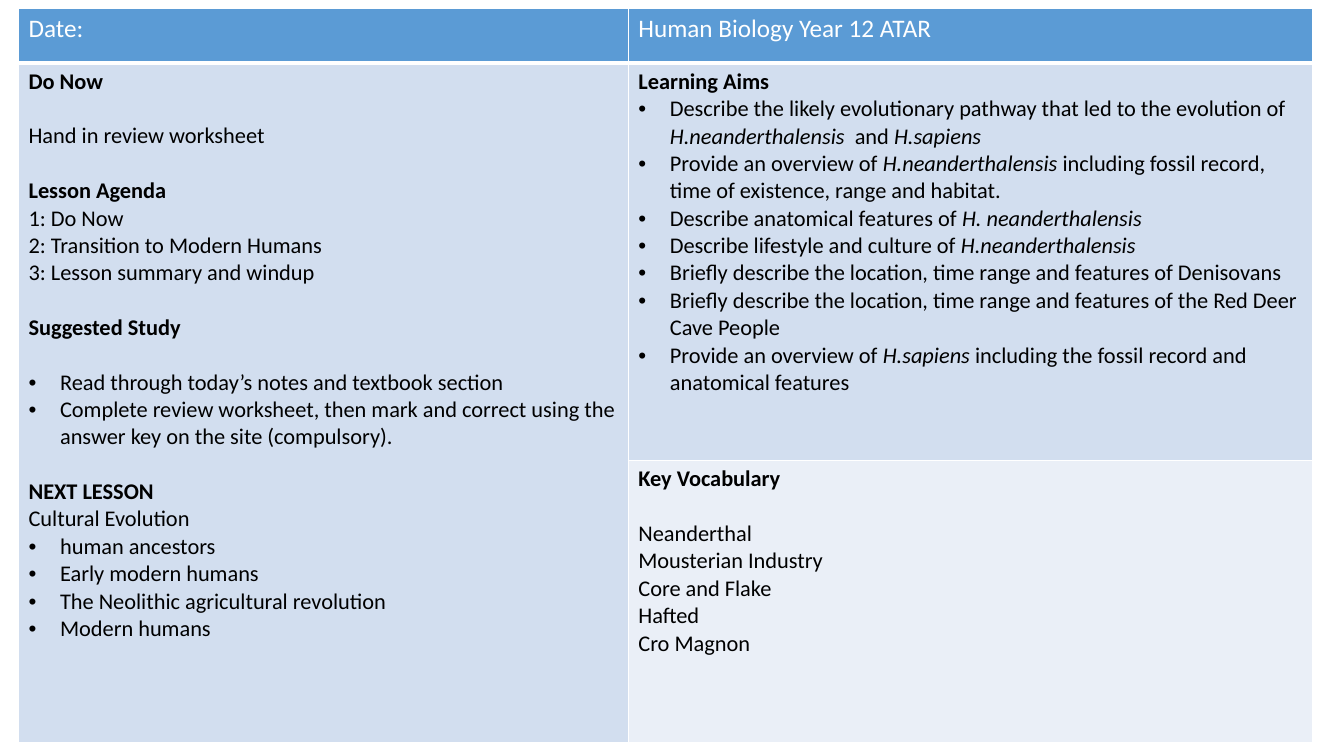
import pptx
import pptx.dml.color
import pptx.oxml
import pptx.oxml.ns
import pptx.util

Pt = pptx.util.Pt

COLOURS = {
    "white": "FFFFFF",
    "black": "000000",
    "header": "5B9BD5",
    "band": "D2DEEF",
    "light": "EAEFF7",
}
FONT = "Calibri"
LINE = 19.5  # height of one 16 pt line
INDENT = 22.5

# Each line is its text (italics between asterisks) and its format
LESSON = [
    ("Do Now", {"bold": True}),
    ("Hand in review worksheet", {"before": LINE}),
    ("Lesson Agenda", {"bold": True, "before": LINE}),
    ("1: Do Now", {}),
    ("2: Transition to Modern Humans", {}),
    ("3: Lesson summary and windup", {}),
    ("Suggested Study", {"bold": True, "before": LINE}),
    ("Read through today’s notes and textbook section", {"bullet": True, "before": LINE}),
    ("Complete review worksheet, then mark and correct using the "
     "answer key on the site (compulsory).", {"bullet": True}),
    ("NEXT LESSON", {"bold": True, "before": LINE}),
    ("Cultural Evolution", {}),
    ("human ancestors", {"bullet": True}),
    ("Early modern humans", {"bullet": True}),
    ("The Neolithic agricultural revolution", {"bullet": True}),
    ("Modern humans", {"bullet": True}),
]
AIMS = [("Learning Aims", {"bold": True})] + [(aim, {"bullet": True}) for aim in (
    "Describe the likely evolutionary pathway that led to the evolution of "
    "*H.neanderthalensis * and *H.sapiens*",
    "Provide an overview of *H.neanderthalensis* including fossil record, "
    "time of existence, range and habitat.",
    "Describe anatomical features of *H. neanderthalensis*",
    "Describe lifestyle and culture of *H.neanderthalensis*",
    "Briefly describe the location, time range and features of Denisovans",
    "Briefly describe the location, time range and features of the Red Deer Cave People",
    "Provide an overview of *H.sapiens* including the fossil record and anatomical features",
)]
VOCABULARY = [
    ("Key Vocabulary", {"bold": True}),
    ("Neanderthal", {"before": LINE}),
    ("Mousterian Industry", {}),
    ("Core and Flake", {}),
    ("Hafted", {}),
    ("Cro Magnon", {}),
]


def colour(name):
    return pptx.dml.color.RGBColor.from_string(COLOURS[name])


def parse_xml(tag, content="", attributes=""):
    namespace = pptx.oxml.ns.nsdecls("a")
    return pptx.oxml.parse_xml(f"<a:{tag} {namespace} {attributes}>{content}</a:{tag}>")


def add_bullet(para):
    properties = para._p.get_or_add_pPr()
    properties.set("marL", str(Pt(INDENT)))
    properties.set("indent", str(-Pt(INDENT)))
    properties.append(parse_xml("buFont", attributes='typeface="Arial"'))
    properties.append(parse_xml("buChar", attributes='char="•"'))


def write_text(para, text, size=16, ink="black", bold=False, bullet=False, before=0):
    if bullet:
        add_bullet(para)
    para.space_before = Pt(before)
    for position, part in enumerate(text.split("*")):
        if part:
            span = para.add_run()
            span.text = part
            span.font.name = FONT
            span.font.size = Pt(size)
            span.font.bold = bold
            span.font.italic = position % 2 == 1
            span.font.color.rgb = colour(ink)


def set_borders(cell, bottom=1):
    properties = cell._tc.get_or_add_tcPr()
    fill = f'<a:solidFill><a:srgbClr val="{COLOURS["white"]}"/></a:solidFill>'
    for side, width in {"lnL": 1, "lnR": 1, "lnT": 1, "lnB": bottom}.items():
        properties.append(parse_xml(side, fill, f'w="{Pt(width)}"'))


def fill_cell(cell, fill, lines):
    cell.fill.solid()
    cell.fill.fore_color.rgb = colour(fill)
    frame = cell.text_frame
    for number, (text, style) in enumerate(lines):
        para = frame.add_paragraph() if number else frame.paragraphs[0]
        write_text(para, text, **style)


def add_grid(page, left, top, widths, heights):
    frame = page.shapes.add_table(len(heights), len(widths), Pt(left), Pt(top),
                                  Pt(sum(widths)), Pt(sum(heights)))
    grid = frame.table
    for column, width in zip(grid.columns, widths):
        column.width = Pt(width)
    for row, height in zip(grid.rows, heights):
        row.height = Pt(height)
    for number, row in enumerate(grid.rows):
        for cell in row.cells:
            set_borders(cell, bottom=1 if number else 3)
    return grid


def main():
    deck = pptx.Presentation()
    deck.slide_width, deck.slide_height = Pt(960), Pt(540)
    page = deck.slides.add_slide(deck.slide_layouts[6])

    # Lesson plan table
    grid = add_grid(page, 13.2, 6, [435.6, 488.7], [38.9, 284, 201.4])
    grid.cell(1, 0).merge(grid.cell(2, 0))

    # Header row
    for column, title in enumerate(["Date:", "Human Biology Year 12 ATAR"]):
        fill_cell(grid.cell(0, column), "header", [(title, {"size": 18, "ink": "white"})])

    # Lesson, aims and vocabulary
    fill_cell(grid.cell(1, 0), "band", LESSON)
    fill_cell(grid.cell(1, 1), "band", AIMS)
    fill_cell(grid.cell(2, 1), "light", VOCABULARY)

    deck.save("out.pptx")


if __name__ == "__main__":
    main()
